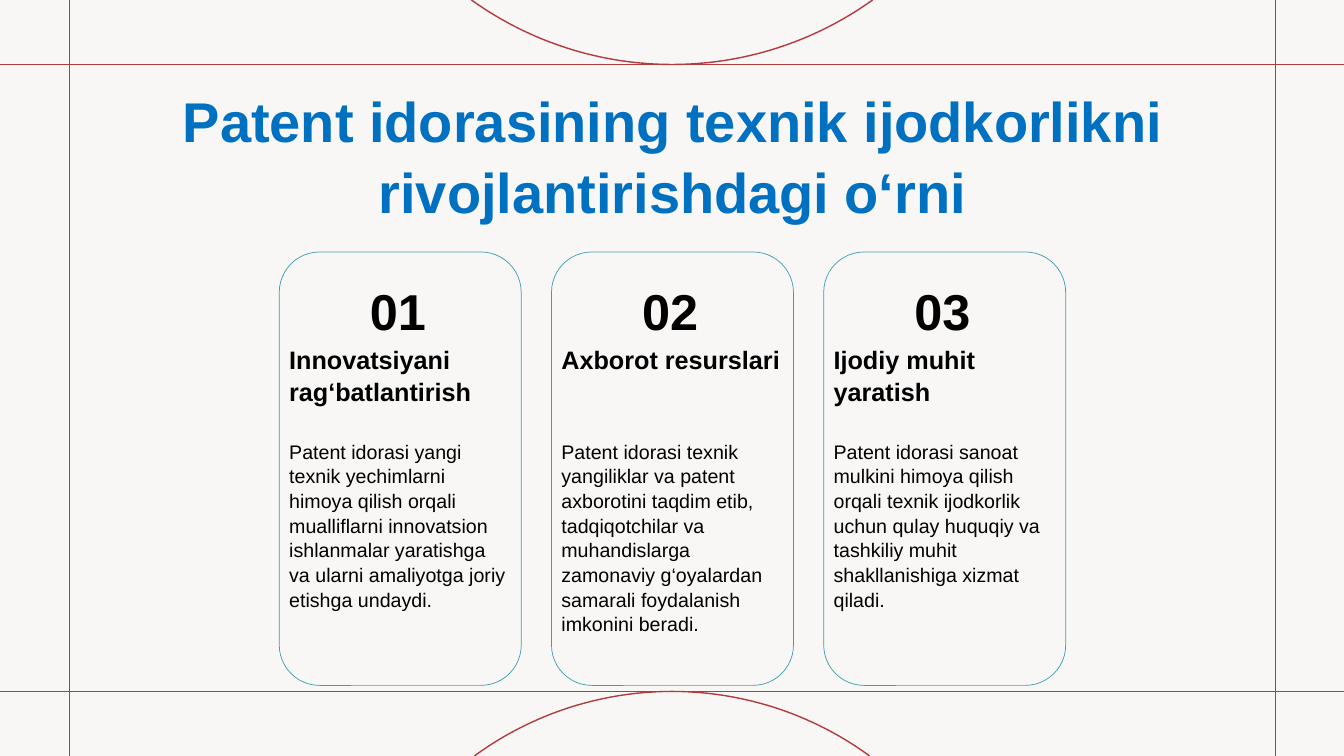
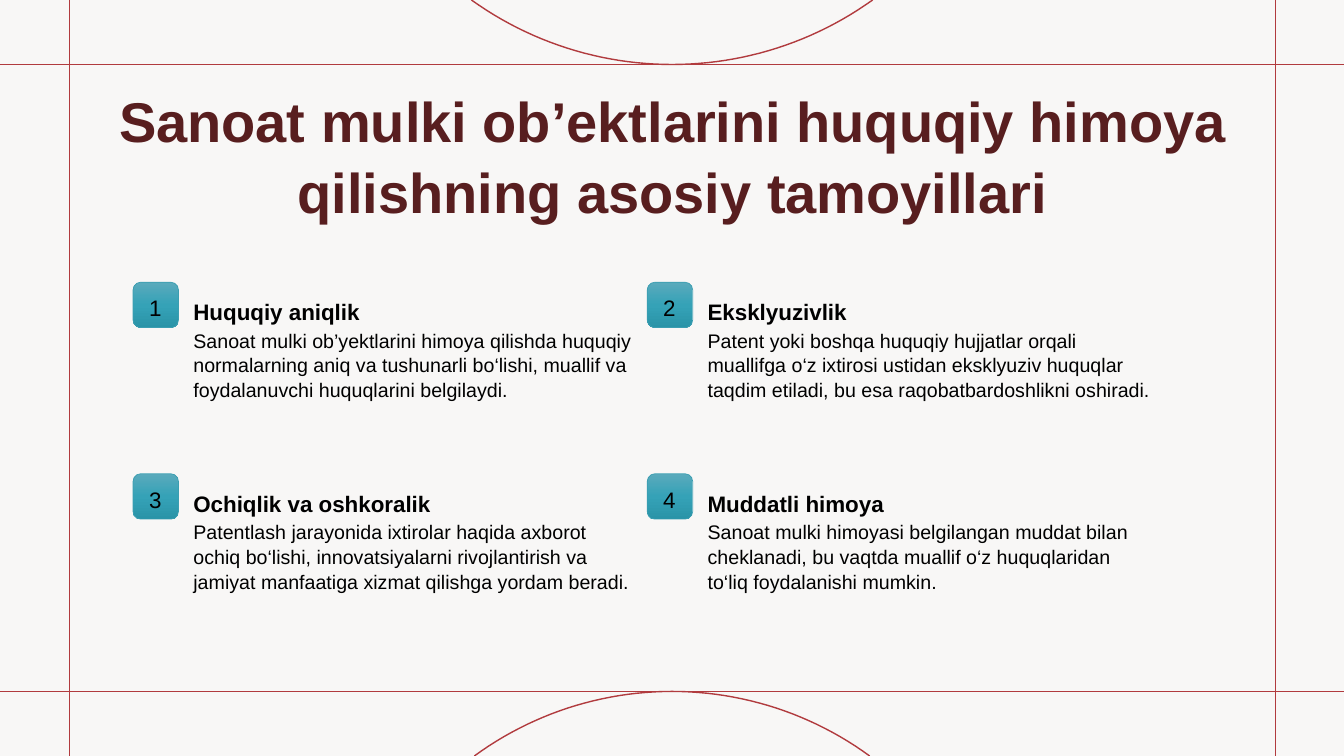
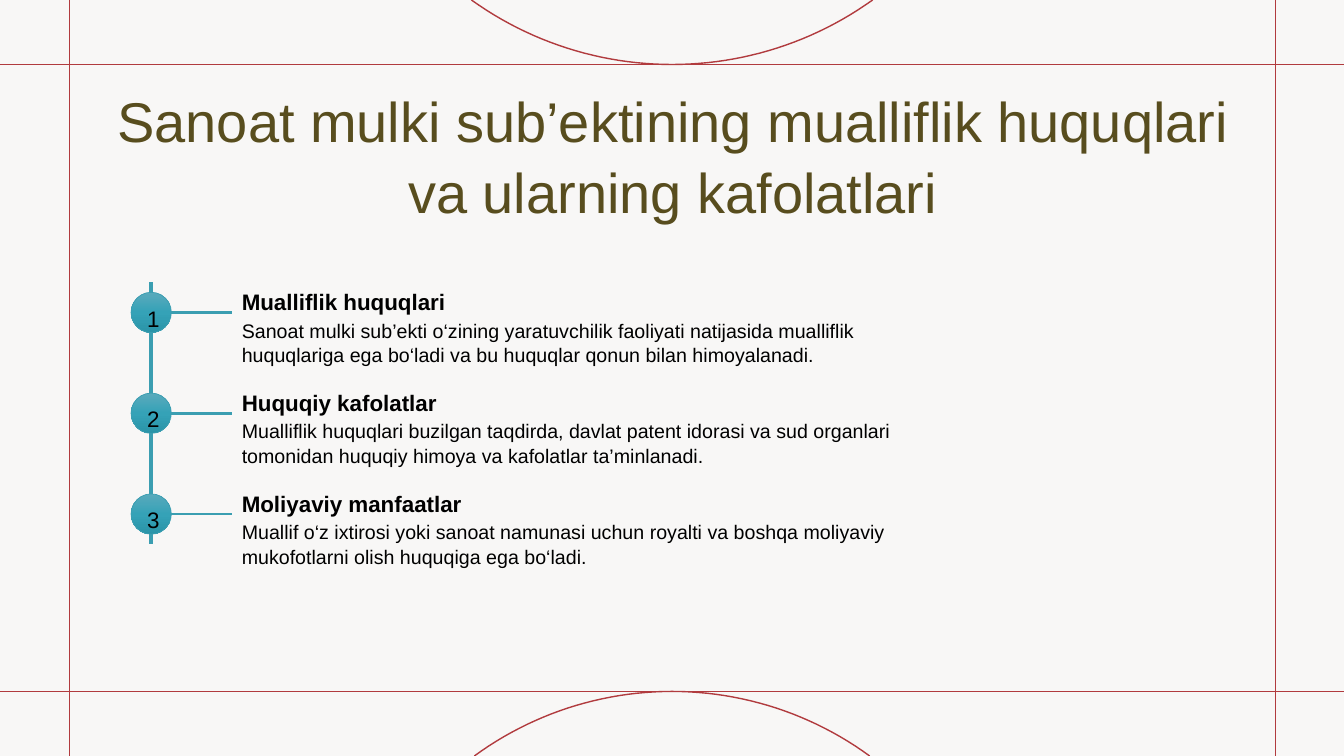
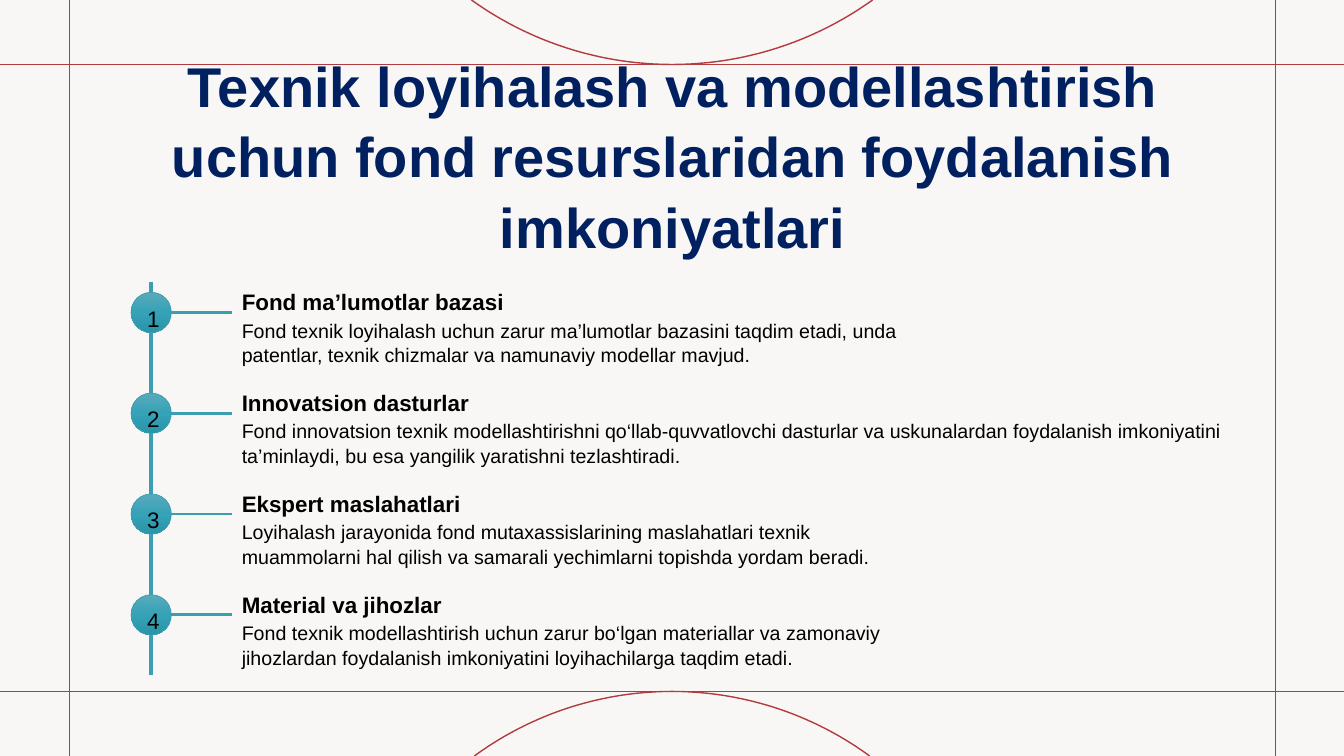
"""Four slides on industrial property and the patent office."""
from copy import deepcopy
from math import asin, cos, sin

from pptx import Presentation
from pptx.dml.color import RGBColor
from pptx.enum.shapes import MSO_CONNECTOR, MSO_SHAPE
from pptx.enum.text import MSO_ANCHOR, MSO_AUTO_SIZE, PP_ALIGN
from pptx.oxml.ns import qn
from pptx.oxml.xmlchemy import OxmlElement
from pptx.util import Pt

PX = 9144
WIDTH, HEIGHT = 1333, 750
FRAME_LEFT, FRAME_RIGHT, FRAME_TOP, FRAME_BOTTOM = 69, 1265, 64, 686
ARC_STEPS = 48
TITLE_BOX = (92, 80, 1150, 145)
FONT = "Arial"
LINE_SPACING = 1.05

PAPER = RGBColor(0xF8, 0xF7, 0xF6)
RED = RGBColor(0xB1, 0x3B, 0x3E)
TEAL = RGBColor(0x3B, 0x9E, 0xB1)
BLACK = RGBColor(0x00, 0x00, 0x00)
BLUE = RGBColor(0x00, 0x70, 0xC0)
MAROON = RGBColor(0x58, 0x1E, 0x1F)
OLIVE = RGBColor(0x58, 0x4D, 0x1E)
NAVY = RGBColor(0x00, 0x20, 0x60)
BADGE_STOPS = (
    (0, RGBColor(0x5A, 0xAA, 0xBC)),
    (0.5, RGBColor(0x35, 0xA2, 0xB7)),
    (1, RGBColor(0x2A, 0x94, 0xA8)),
)

STRAIGHT = MSO_CONNECTOR.STRAIGHT
ROUNDED = MSO_SHAPE.ROUNDED_RECTANGLE
OVAL = MSO_SHAPE.OVAL
MIDDLE = MSO_ANCHOR.MIDDLE
GROW = MSO_AUTO_SIZE.SHAPE_TO_FIT_TEXT
CENTER = PP_ALIGN.CENTER

CARDS = [
    ("Innovatsiyani rag‘batlantirish",
     "Patent idorasi yangi texnik yechimlarni himoya qilish orqali mualliflarni "
     "innovatsion ishlanmalar yaratishga va ularni amaliyotga joriy etishga undaydi."),
    ("Axborot resurslari",
     "Patent idorasi texnik yangiliklar va patent axborotini taqdim etib, tadqiqotchilar "
     "va muhandislarga zamonaviy g‘oyalardan samarali foydalanish imkonini beradi."),
    ("Ijodiy muhit yaratish",
     "Patent idorasi sanoat mulkini himoya qilish orqali texnik ijodkorlik uchun qulay "
     "huquqiy va tashkiliy muhit shakllanishiga xizmat qiladi."),
]
PRINCIPLES = [
    ("Huquqiy aniqlik",
     "Sanoat mulki ob’yektlarini himoya qilishda huquqiy normalarning aniq va tushunarli "
     "bo‘lishi, muallif va foydalanuvchi huquqlarini belgilaydi."),
    ("Eksklyuzivlik",
     "Patent yoki boshqa huquqiy hujjatlar orqali muallifga o‘z ixtirosi ustidan "
     "eksklyuziv huquqlar taqdim etiladi, bu esa raqobatbardoshlikni oshiradi."),
    ("Ochiqlik va oshkoralik",
     "Patentlash jarayonida ixtirolar haqida axborot ochiq bo‘lishi, innovatsiyalarni "
     "rivojlantirish va jamiyat manfaatiga xizmat qilishga yordam beradi."),
    ("Muddatli himoya",
     "Sanoat mulki himoyasi belgilangan muddat bilan cheklanadi, bu vaqtda muallif o‘z "
     "huquqlaridan to‘liq foydalanishi mumkin."),
]
RIGHTS = [
    ("Mualliflik huquqlari",
     "Sanoat mulki sub’ekti o‘zining yaratuvchilik faoliyati natijasida mualliflik "
     "huquqlariga ega bo‘ladi va bu huquqlar qonun bilan himoyalanadi.", 700),
    ("Huquqiy kafolatlar",
     "Mualliflik huquqlari buzilgan taqdirda, davlat patent idorasi va sud organlari "
     "tomonidan huquqiy himoya va kafolatlar ta’minlanadi.", 700),
    ("Moliyaviy manfaatlar",
     "Muallif o‘z ixtirosi yoki sanoat namunasi uchun royalti va boshqa moliyaviy "
     "mukofotlarni olish huquqiga ega bo‘ladi.", 700),
]
RESOURCES = [
    ("Fond ma’lumotlar bazasi",
     "Fond texnik loyihalash uchun zarur ma’lumotlar bazasini taqdim etadi, unda "
     "patentlar, texnik chizmalar va namunaviy modellar mavjud.", 700),
    ("Innovatsion dasturlar",
     "Fond innovatsion texnik modellashtirishni qo‘llab-quvvatlovchi dasturlar va "
     "uskunalardan foydalanish imkoniyatini ta’minlaydi, bu esa yangilik yaratishni "
     "tezlashtiradi.", 1000),
    ("Ekspert maslahatlari",
     "Loyihalash jarayonida fond mutaxassislarining maslahatlari texnik muammolarni hal "
     "qilish va samarali yechimlarni topishda yordam beradi.", 700),
    ("Material va jihozlar",
     "Fond texnik modellashtirish uchun zarur bo‘lgan materiallar va zamonaviy "
     "jihozlardan foydalanish imkoniyatini loyihachilarga taqdim etadi.", 700),
]


def emu(*lengths):
    """Turn px lengths into EMU."""
    return [round(length * PX) for length in lengths]


def add_text(s, box, text, size, bold=False, color=BLACK):
    """Add a wrapped one-run text box and return its text frame."""
    tf = s.shapes.add_textbox(*emu(*box)).text_frame
    tf.word_wrap = True
    tf.auto_size = GROW
    p = tf.paragraphs[0]
    p.line_spacing = LINE_SPACING
    r = p.add_run()
    r.text = text
    r.font.name, r.font.size, r.font.bold = FONT, Pt(size), bold
    r.font.color.rgb = color
    return tf


def add_line(s, start, end, color, width):
    """Draw a straight line between two points."""
    line = s.shapes.add_connector(STRAIGHT, *emu(*start, *end))
    line.line.color.rgb = color
    line.line.width = Pt(width)
    line._element.spPr.append(OxmlElement("a:effectLst"))


def add_outline(s, kind, box):
    """Add an unfilled preset shape with a thin teal line."""
    sp = s.shapes.add_shape(kind, *emu(*box))
    sp.shadow.inherit = False
    sp.fill.background()
    sp.line.color.rgb = TEAL
    sp.line.width = Pt(0.5)
    return sp


def add_badge(s, kind, x, y, size, number):
    """Add a gradient badge with its number."""
    sp = add_outline(s, kind, (x, y, size, size))
    sp.fill.gradient()
    sp.fill.gradient_angle = 270
    stops = sp._element.spPr.find(".//" + qn("a:gsLst"))
    stops.append(deepcopy(stops[0]))
    for stop, (position, color) in zip(sp.fill.gradient_stops, BADGE_STOPS):
        stop.position = position
        stop.color.rgb = color
    inset = 6
    side = size - 2 * inset
    add_text(s, (x + inset, y + inset, side, side), str(number), 16)


def add_arc(s, half_chord, edge, apex):
    """Draw a circle arc from a slide edge that touches a frame line at its apex."""
    depth = apex - edge
    sagitta = abs(depth)
    radius = (half_chord ** 2 + sagitta ** 2) / (2 * sagitta)
    reach = asin(half_chord / radius)
    angles = [reach * (2 * i / ARC_STEPS - 1) for i in range(ARC_STEPS + 1)]
    sign = depth / sagitta
    points = [emu(WIDTH / 2 + radius * sin(a), apex - sign * radius * (1 - cos(a)))
              for a in angles]
    builder = s.shapes.build_freeform(*points[0])
    builder.add_line_segments(points[1:], close=False)
    sp = builder.convert_to_shape()
    sp.shadow.inherit = False
    sp.fill.background()
    sp.line.color.rgb = RED
    sp.line.width = Pt(1)


def add_slide(prs, title, color, bold=True):
    """Add a slide with the red frame and its title."""
    s = prs.slides.add_slide(prs.slide_layouts[6])
    for y in (FRAME_BOTTOM, FRAME_TOP):
        add_line(s, (0, y), (WIDTH, y), RED, 1)
    for x in (FRAME_RIGHT, FRAME_LEFT):
        add_line(s, (x, HEIGHT), (x, 0), RED, 1)
    add_arc(s, 199, 0, FRAME_TOP)
    add_arc(s, 196, HEIGHT, FRAME_BOTTOM)
    tf = add_text(s, TITLE_BOX, title, 40, bold, color)
    tf.auto_size = MSO_AUTO_SIZE.NONE
    tf.vertical_anchor = MIDDLE
    tf.paragraphs[0].alignment = CENTER
    return s


def add_card(s, x, y, number, heading, body):
    """Add a rounded card with number, heading and body."""
    w = 240
    add_outline(s, ROUNDED, (x, y, w, 430))
    add_text(s, (x + 80, y + 20, w, 100), f"{number:02}", 36, True)
    add_text(s, (x, y + 85, w, 50), heading, 18, True)
    add_text(s, (x, y + 180, w, 300), body, 14)


def add_entry(s, x, y, w, heading, body):
    """Add a bold heading with its body below."""
    add_text(s, (x, y, w, 30), heading, 16, True)
    add_text(s, (x, y + 30, w, 110), body, 14)


def add_cards(s, x, y, cards):
    """Place cards in a row."""
    for i, (heading, body) in enumerate(cards):
        add_card(s, x + 270 * i, y, i + 1, heading, body)


def add_grid(s, x, y, entries):
    """Place numbered entries in two columns."""
    for i, (heading, body) in enumerate(entries):
        row, col = divmod(i, 2)
        left, top = x + 510 * col, y + 190 * row
        add_badge(s, ROUNDED, left, top, 45, i + 1)
        add_entry(s, left + 50, top + 10, 460, heading, body)


def add_timeline(s, x, y, length, entries):
    """Place numbered entries along a vertical line."""
    add_line(s, (x, y), (x, y + length), TEAL, 3)
    for i, (heading, body, w) in enumerate(entries):
        top = y + 100 * i
        add_line(s, (x, top + 30), (x + 80, top + 30), TEAL, 2)
        add_badge(s, OVAL, x - 20, top + 10, 40, i + 1)
        add_entry(s, x + 80, top, w, heading, body)


def main():
    """Build and save the presentation."""
    prs = Presentation()
    prs.slide_width, prs.slide_height = emu(WIDTH, HEIGHT)
    fill = prs.slide_master.background.fill
    fill.solid()
    fill.fore_color.rgb = PAPER

    s = add_slide(prs, "Patent idorasining texnik ijodkorlikni rivojlantirishdagi o‘rni", BLUE)
    add_cards(s, 277, 250, CARDS)
    s = add_slide(prs, "Sanoat mulki ob’ektlarini huquqiy himoya qilishning asosiy tamoyillari",
                  MAROON)
    add_grid(s, 132, 280, PRINCIPLES)
    s = add_slide(prs, "Sanoat mulki sub’ektining mualliflik huquqlari va ularning kafolatlari",
                  OLIVE, bold=False)
    add_timeline(s, 150, 280, 260, RIGHTS)
    s = add_slide(prs, "Texnik loyihalash va modellashtirish uchun fond resurslaridan "
                  "foydalanish imkoniyatlari", NAVY)
    add_timeline(s, 150, 280, 390, RESOURCES)
    prs.save("out.pptx")


if __name__ == "__main__":
    main()
